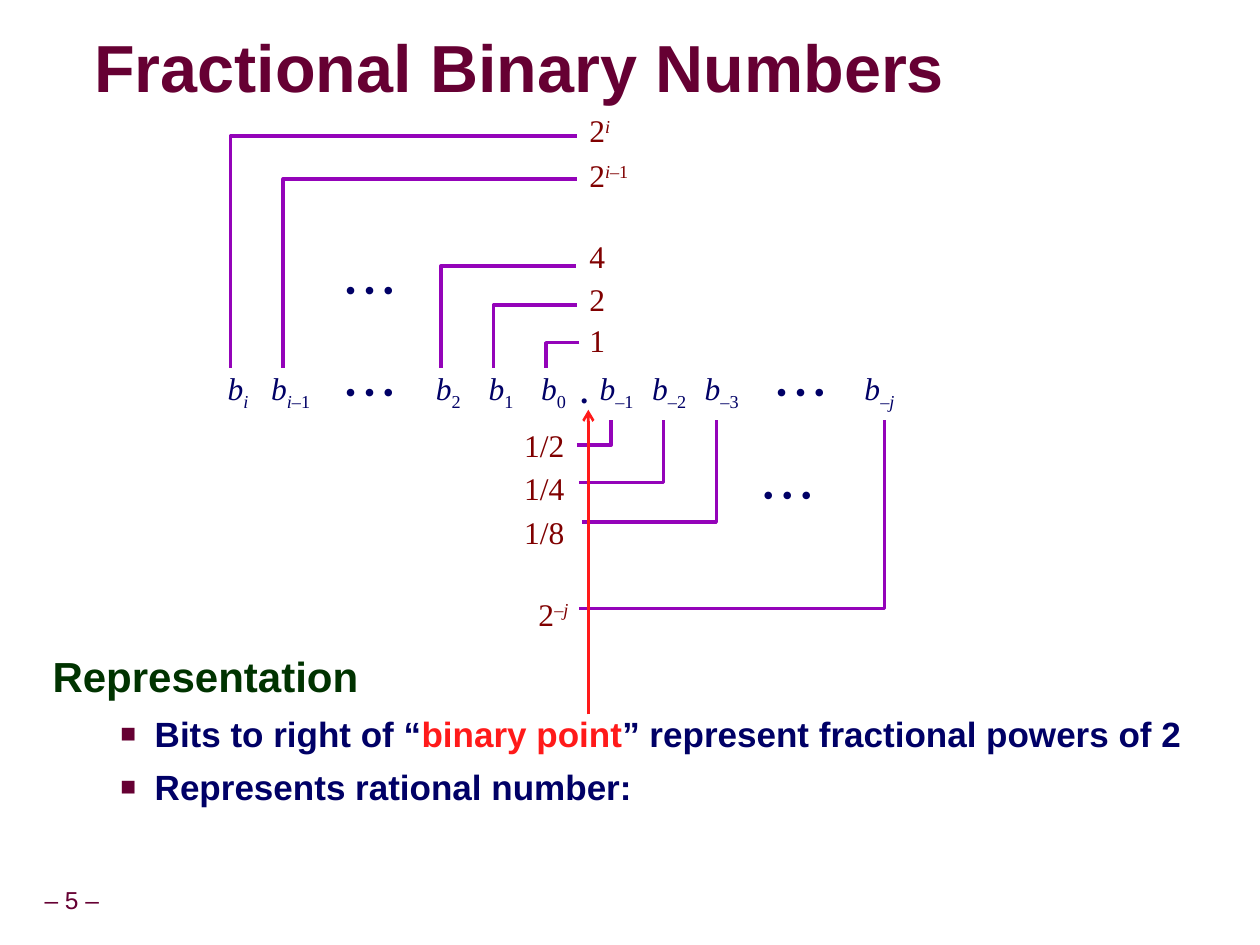
from dataclasses import dataclass

from lxml import etree
from pptx import Presentation
from pptx.dml.color import RGBColor
from pptx.enum.shapes import MSO_CONNECTOR, MSO_SHAPE
from pptx.enum.text import MSO_ANCHOR, PP_ALIGN
from pptx.oxml import parse_xml
from pptx.oxml.ns import nsdecls, qn
from pptx.util import Cm, Pt

RECTANGLE = MSO_SHAPE.RECTANGLE
STRAIGHT = MSO_CONNECTOR.STRAIGHT
TOP, MIDDLE = MSO_ANCHOR.TOP, MSO_ANCHOR.MIDDLE
LEFT, CENTER, RIGHT = PP_ALIGN.LEFT, PP_ALIGN.CENTER, PP_ALIGN.RIGHT


@dataclass(frozen=True)
class Theme:
    plum: str = "660033"
    green: str = "003300"
    navy: str = "000066"
    red: str = "FF1A1A"
    maroon: str = "800000"
    violet: str = "9403B9"
    white: str = "FFFFFF"
    sans: str = "Arial"
    serif: str = "Times New Roman"
    title: int = 38
    heading: int = 24
    bullet: int = 20
    math: int = 18
    number: int = 14


THEME = Theme()
STEP = 1.06
CELL_TOP, CELL_HEIGHT = 5.03, 1.48
RIGHT_START = 7.63
DOTS = [("• • •", False, 0)]


def color(value):
    return RGBColor.from_string(value)


def style(span, face, size, shade, bold=False, italic=False, baseline=0):
    span.font.name = face
    span.font.size = Pt(size)
    span.font.color.rgb = color(shade)
    span.font.bold = bold
    span.font.italic = italic
    if baseline:
        span.font._element.set("baseline", str(baseline * 1000))


def frame_setup(shape, anchor=TOP, wrap=False, margins=(0.25, 0.13)):
    frame = shape.text_frame
    frame.word_wrap = wrap
    frame.vertical_anchor = anchor
    frame.margin_left = frame.margin_right = Cm(margins[0])
    frame.margin_top = frame.margin_bottom = Cm(margins[1])
    return frame


def text_box(page, box, **options):
    return frame_setup(page.shapes.add_textbox(*map(Cm, box)), **options)


def write_math(frame, parts, shade, align, bold=False):
    para = frame.paragraphs[0]
    para.alignment = align
    for text, italic, baseline in parts:
        span = para.add_run()
        span.text = text
        style(span, THEME.serif, THEME.math, shade, bold, italic, baseline)


def cell(page, left, top, width, parts, bold=False):
    shape = page.shapes.add_shape(RECTANGLE, Cm(left), Cm(top), Cm(width), Cm(CELL_HEIGHT))
    shape.shadow.inherit = False
    shape.fill.solid()
    shape.fill.fore_color.rgb = color(THEME.white)
    shape.line.fill.background()
    write_math(frame_setup(shape, MIDDLE), parts, THEME.navy, CENTER, bold)
    return shape


def bracket(page, *points):
    start, *rest = [(Cm(x), Cm(y)) for x, y in points]
    builder = page.shapes.build_freeform(*start)
    builder.add_line_segments(rest, close=False)
    shape = builder.convert_to_shape()
    shape.shadow.inherit = False
    shape.fill.background()
    shape.line.color.rgb = color(THEME.violet)
    shape.line.width = Pt(2)


def bit_row(page, left, top):
    columns = [
        (0, [("i", True, -25)]),
        (STEP, [("i", True, -25), ("–1", False, -25)]),
        *((STEP * (6 - n), [(str(n), False, -25)]) for n in (2, 1, 0)),
        *((RIGHT_START + STEP * (n - 1), [(f"–{n}", False, -25)]) for n in (1, 2, 3)),
        (RIGHT_START + STEP * 5, [("–", False, -25), ("j", True, -25)]),
    ]
    for x, index in columns:
        cell(page, left + x, top, STEP, [("b", True, 0), *index])
    for x in (RIGHT_START + STEP * 3, STEP * 2):
        cell(page, left + x, top, STEP * 2, DOTS)
    cell(page, left + 7.41, top, 0.2, [(".", False, 0)], bold=True)


def whole_weights(page, left, top):
    weights = [
        (0, 0.63, 7.36, 0, 0.94, [("2", False, 0), ("i", True, 30)]),
        (1, 1.5, 7.36, 0.91, 1.37, [("2", False, 0), ("i", True, 30), ("–1", False, 30)]),
        (4, 3.25, 7.34, 2.54, 0.84, [("4", False, 0)]),
        (5, 4.04, 7.36, 3.4, 0.84, [("2", False, 0)]),
        (6, 4.8, 7.41, 4.24, 0.84, [("1", False, 0)]),
    ]
    for column, y, end, label_top, width, parts in weights:
        frame = text_box(page, (left + 7.36, top + label_top, width, 1.02))
        write_math(frame, parts, THEME.maroon, LEFT)
        corner = left + 0.38 + STEP * column
        bracket(page, (left + end, top + y), (corner, top + y), (corner, top + 5.31))
    cell(page, left + STEP * 2, top + 2.97, STEP * 2, DOTS)


def fraction_weights(page, left, top):
    weights = [
        (8.05, 6.86, 7.36, 6.35, 6.04, 1.32, [("1/2", False, 0)]),
        (9.11, 7.62, 7.41, 7.21, 6.04, 1.32, [("1/4", False, 0)]),
        (10.17, 8.41, 7.46, 8.1, 6.04, 1.32, [("1/8", False, 0)]),
        (13.56, 10.16, 7.41, 9.75, 6.27, 1.17, [("2", False, 0), ("–", False, 30), ("j", True, 30)]),
    ]
    for corner, y, end, label_top, label_left, width, parts in weights:
        bracket(page, (left + end, top + y), (left + corner, top + y), (left + corner, top + 6.35))
        frame = text_box(page, (left + label_left, top + label_top, width, 1.02))
        write_math(frame, parts, THEME.maroon, RIGHT)
    cell(page, left + 10.54, top + 7.19, STEP * 2, DOTS).rotation = 180


def point_arrow(page, x, bottom, top):
    arrow = page.shapes.add_connector(STRAIGHT, Cm(x), Cm(bottom), Cm(x), Cm(top))
    arrow.line.color.rgb = color(THEME.red)
    arrow.line.width = Pt(1.5)
    etree.SubElement(arrow.line._get_or_add_ln(), qn("a:tailEnd"), type="arrow")
    etree.SubElement(arrow._element.spPr, qn("a:effectLst"))


def diagram(page, left, top):
    bit_row(page, left, top + CELL_TOP)
    whole_weights(page, left, top)
    fraction_weights(page, left, top)
    point_arrow(page, left + 7.59, top + 12.29, top + 6.15)


def title(page, box):
    frame = text_box(page, box, anchor=MIDDLE, wrap=True, margins=(0, 0))
    frame.text = "Fractional Binary Numbers"
    para = frame.paragraphs[0]
    para.line_spacing = 0.87
    span = para.runs[0]
    style(span, THEME.sans, THEME.title, THEME.plum, bold=True)
    shadow = parse_xml(
        f'<a:effectLst {nsdecls("a")}><a:outerShdw blurRad="38100" dist="38100" dir="2700000">'
        '<a:srgbClr val="C0C0C0"/></a:outerShdw></a:effectLst>')
    span.font._element.find(qn("a:solidFill")).addnext(shadow)


def set_bullet(para):
    para.level = 1
    properties = para._p.get_or_add_pPr()
    properties.set("marL", str(Cm(2.06)))
    properties.set("indent", str(Cm(-0.69)))
    shade = etree.SubElement(properties, qn("a:buClr"))
    etree.SubElement(shade, qn("a:srgbClr"), val=THEME.plum)
    etree.SubElement(properties, qn("a:buSzPct"), val="75000")
    etree.SubElement(properties, qn("a:buFont"), typeface=THEME.sans)
    etree.SubElement(properties, qn("a:buChar"), char="■")


def body(page, box):
    frame = text_box(page, box, wrap=True)
    frame.text = "Representation"
    heading = frame.paragraphs[0]
    heading.line_spacing = 0.95
    style(heading.runs[0], THEME.sans, THEME.heading, THEME.green, bold=True)
    bullets = [
        [("Bits to right of “", THEME.navy), ("binary point", THEME.red),
         ("” represent fractional powers of 2", THEME.navy)],
        [("Represents rational number:", THEME.navy)],
    ]
    for parts in bullets:
        para = frame.add_paragraph()
        para.space_before = Pt(6)
        set_bullet(para)
        for text, shade in parts:
            span = para.add_run()
            span.text = text
            style(span, THEME.sans, THEME.bullet, shade, bold=True)


def page_number(page, box):
    frame = text_box(page, box, anchor=MIDDLE, margins=(0.13, 0.13))
    frame.text = "– 5 –"
    para = frame.paragraphs[0]
    para.alignment = CENTER
    para.line_spacing = 0.9
    style(para.runs[0], THEME.sans, THEME.number, THEME.plum)


deck = Presentation()
deck.slide_width, deck.slide_height = Cm(25.4), Cm(19.05)
page = deck.slides.add_slide(deck.slide_layouts[6])
page_number(page, (0.61, 17.78, 1.68, 0.79))
title(page, (1.9, 0.64, 19.08, 1.6))
body(page, (0.81, 13.06, 23.55, 3.02))
diagram(page, 4.27, 2.11)
deck.save("out.pptx")
